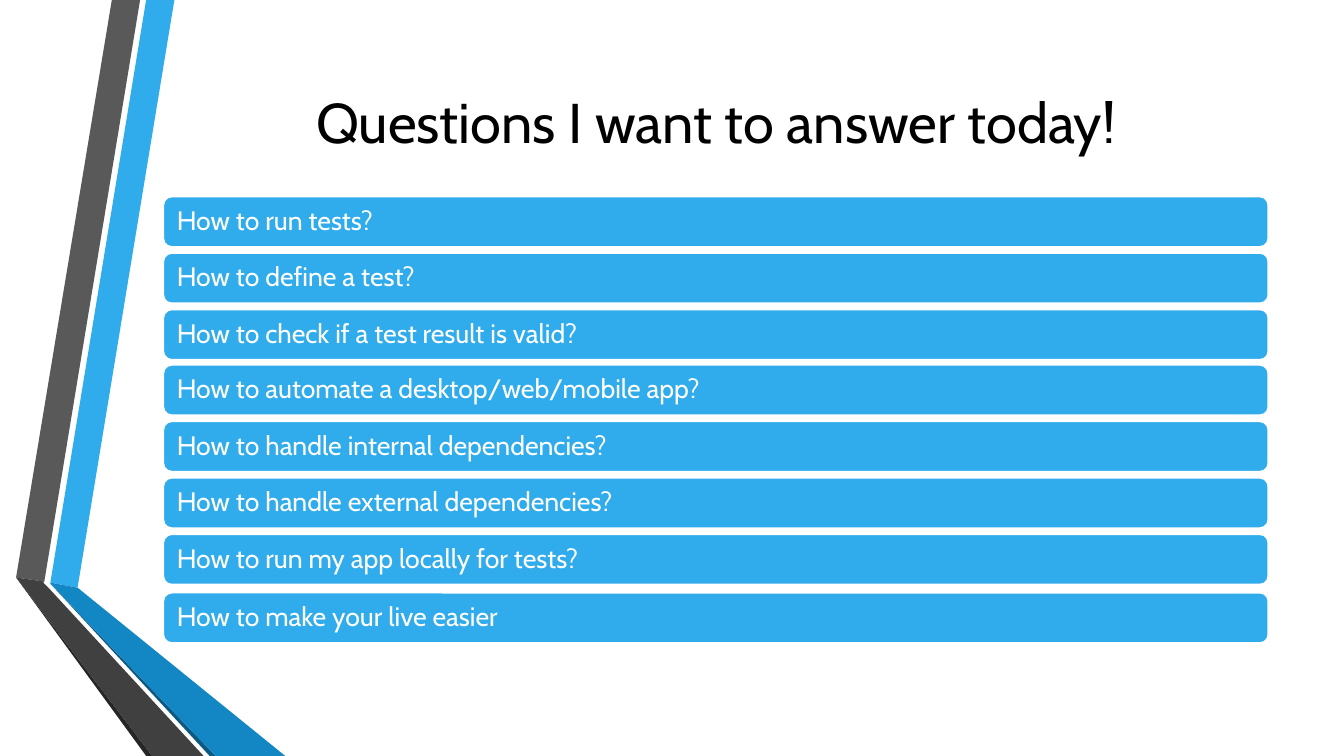
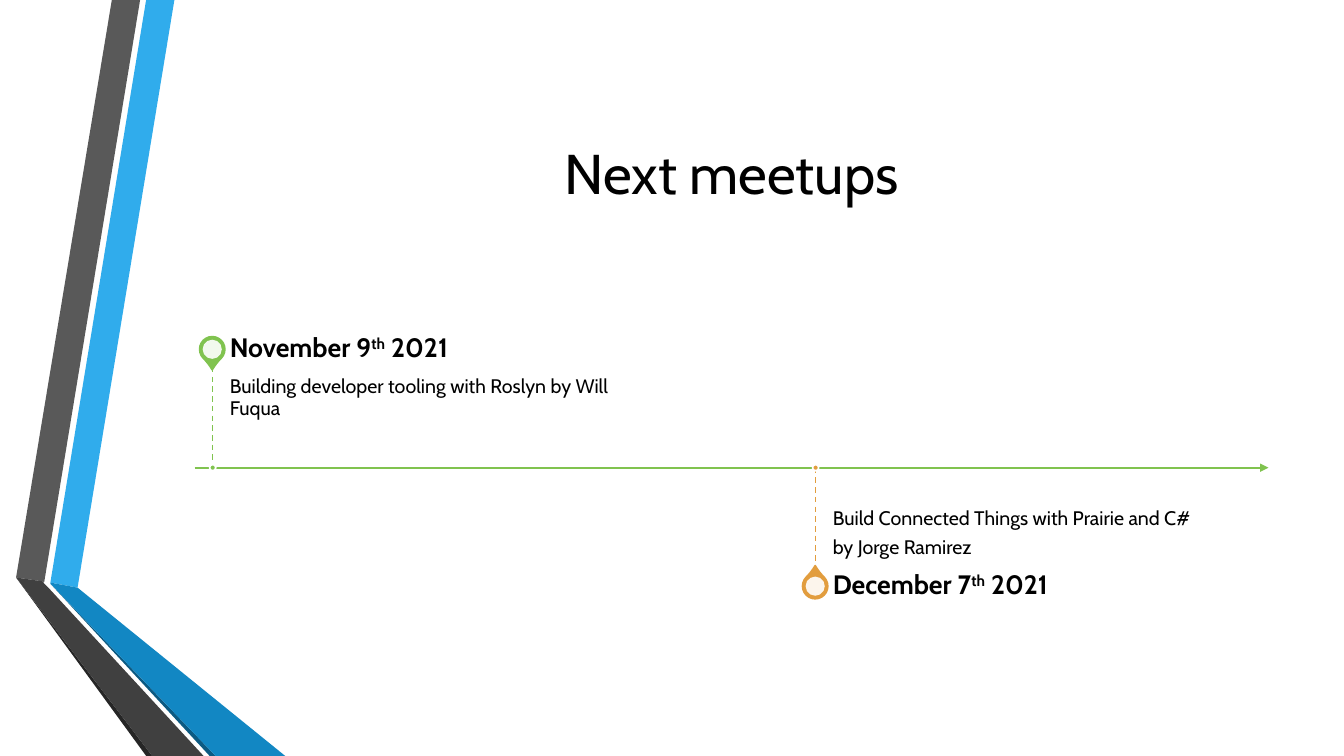
from lxml import etree
from pptx import Presentation
from pptx import util as u
from pptx.dml import color
from pptx.enum import dml, shapes, text
from pptx.oxml import ns

PX = 9144
FONT = "Cabin"
BLACK, WHITE = "000000", "FFFFFF"
BLUE, GREEN, ORANGE = "30ACEC", "80C34F", "E29D3E"
TITLE_ONLY = 5
AXIS_TOP = 464
STEM = 100
DATE_HEIGHT = 35

RIBBONS = [
    (BLUE, [(50, 578), (77, 583), (173, 0), (145, 0)]),
    ("595959", [(139, 0), (111, 0), (16, 573), (44, 577)]),
    ("262626", [(16, 573), (145, 750), (151, 750)]),
    ("0C5A82", [(50, 579), (208, 750), (214, 750)]),
    ("1287C3", [(50, 578), (50, 579), (214, 750), (283, 750), (77, 583)]),
    ("404040", [(202, 750), (48, 583), (43, 578), (44, 577), (16, 573), (151, 750)]),
]

QUESTIONS = [
    "How to run tests?",
    "How to define a test?",
    "How to check if a test result is valid?",
    "How to automate a desktop/web/mobile app?",
    "How to handle internal dependencies?",
    "How to handle external dependencies?",
    "How to run my app locally for tests?",
]
LAST_QUESTION = "How to make your live easier"


def px(*lengths):
    """Turn px lengths into a list of EMU lengths."""
    return [u.Emu(length * PX) for length in lengths]


def rgb(value):
    """Turn a hex string into a colour."""
    return color.RGBColor.from_string(value)


def add_child(parent, tag, **attributes):
    """Append a DrawingML element to a parent element."""
    return etree.SubElement(parent, ns.qn(tag), attributes)


def paint(shape, fill, line=None, width=1.25):
    """Set the fill and outline of a shape and drop its shadow."""
    shape.shadow.inherit = False
    shape.fill.solid()
    shape.fill.fore_color.rgb = rgb(fill)
    if line:
        shape.line.color.rgb = rgb(line)
        shape.line.width = u.Pt(width)
    else:
        shape.line.fill.background()


def add_preset(slide, kind, box, fill, line=None):
    """Add a painted preset shape."""
    shape = slide.shapes.add_shape(kind, *px(*box))
    paint(shape, fill, line)
    return shape


def add_line(slide, start, end, colour, width):
    """Add a straight connector without a shadow."""
    line = slide.shapes.add_connector(shapes.MSO_CONNECTOR.STRAIGHT, *px(*start, *end))
    line.line.color.rgb = rgb(colour)
    line.line.width = u.Pt(width)
    add_child(line.element.spPr, "a:effectLst")
    return line


def set_frame(shape, anchor, insets):
    """Set wrapping, anchor and left, top, right, bottom insets."""
    frame = shape.text_frame
    frame.word_wrap = True
    frame.auto_size = text.MSO_AUTO_SIZE.NONE
    frame.vertical_anchor = anchor
    (frame.margin_left, frame.margin_top,
     frame.margin_right, frame.margin_bottom) = px(*insets)
    return frame


def style(paragraph, size, colour=BLACK, bold=False, align=text.PP_ALIGN.LEFT, spacing=0.9):
    """Set the font, alignment and line spacing of a paragraph."""
    paragraph.alignment = align
    paragraph.line_spacing = spacing
    font = paragraph.font
    font.name, font.size, font.bold = FONT, u.Pt(size), bold
    font.color.rgb = rgb(colour)


def add_ribbons(slide):
    """Draw the folded ribbons and move them to the layout behind its placeholders."""
    layout_tree = slide.slide_layout.shapes.element
    for position, (fill, points) in enumerate(RIBBONS, start=2):
        builder = slide.shapes.build_freeform(*points[0], scale=PX)
        builder.add_line_segments(points[1:], close=True)
        ribbon = builder.convert_to_shape()
        paint(ribbon, fill)
        layout_tree.insert(position, ribbon.element)


def add_titled_slide(presentation, title, box):
    """Add a slide with a centred title."""
    slide = presentation.slides.add_slide(presentation.slide_layouts[TITLE_ONLY])
    shape = slide.shapes.title
    shape.left, shape.top, shape.width, shape.height = px(*box)
    frame = set_frame(shape, text.MSO_ANCHOR.MIDDLE, (10, 5, 10, 5))
    frame.text = title
    style(frame.paragraphs[0], 40, align=text.PP_ALIGN.CENTER, spacing=1.0)
    return slide


def add_question(slide, question, top):
    """Add a rounded bar holding one question."""
    bar = add_preset(slide, shapes.MSO_SHAPE.ROUNDED_RECTANGLE, (162, top, 1096, 50), BLUE, WHITE)
    frame = set_frame(bar, text.MSO_ANCHOR.MIDDLE, (11, 8, 11, 8))
    frame.text = question
    style(frame.paragraphs[0], 19, WHITE)


def add_pin(slide, x, top, colour, rotation):
    """Add a map pin with a pale centre."""
    pin = add_preset(slide, shapes.MSO_SHAPE.TEAR, (x - 13, top, 25, 25), colour, colour)
    pin.adjustments[0] = 1.15
    pin.rotation = rotation
    centre = add_preset(slide, shapes.MSO_SHAPE.OVAL, (x - 10, top + 3, 19, 19), WHITE)
    fill = centre.element.spPr.find(ns.qn("a:solidFill"))
    add_child(fill[0], "a:alpha", val="90000")


def add_date(slide, x, top, day):
    """Add a bold date with a raised ordinal ending."""
    box = slide.shapes.add_textbox(*px(x, top, 387, DATE_HEIGHT))
    paragraph = set_frame(box, text.MSO_ANCHOR.MIDDLE, (0, 0, 13, 0)).paragraphs[0]
    style(paragraph, 19, bold=True)
    for words, baseline in ((day, 0), ("th", 30000), (" 2021", 0)):
        run = paragraph.add_run()
        run.text = words
        if baseline:
            run.font._element.set("baseline", str(baseline))


def add_talk(slide, x, top, lines, anchor, insets):
    """Add the description of a talk."""
    box = slide.shapes.add_textbox(*px(x, top, 387, STEM))
    frame = set_frame(box, anchor, insets)
    frame.text = "\n".join(lines)
    for index, paragraph in enumerate(frame.paragraphs):
        style(paragraph, 14)
        if index:
            paragraph.space_before = u.Pt(5)


def add_meetup(slide, x, day, lines, colour, above):
    """Add a meetup with its pin, date, talk and stem on one side of the axis."""
    if above:
        stem_top, rotation = AXIS_TOP - STEM, 135
        date_top = stem_top - DATE_HEIGHT
        anchor, insets = text.MSO_ANCHOR.TOP, (0, 10, 0, 15)
    else:
        stem_top, rotation = AXIS_TOP, 315
        date_top = stem_top + STEM
        anchor, insets = text.MSO_ANCHOR.BOTTOM, (0, 15, 10, 10)
    add_pin(slide, x, date_top + 5, colour, rotation)
    add_talk(slide, x + 17, stem_top, lines, anchor, insets)
    add_date(slide, x + 17, date_top, day)
    stem = add_line(slide, (x, stem_top), (x, stem_top + STEM), colour, 1)
    stem.line.dash_style = dml.MSO_LINE.DASH
    add_preset(slide, shapes.MSO_SHAPE.OVAL, (x - 3, AXIS_TOP - 3, 6, 6), colour, WHITE)


def add_axis(slide):
    """Add the timeline arrow."""
    axis = add_line(slide, (193, AXIS_TOP), (1258, AXIS_TOP), GREEN, 1.5)
    add_child(axis.line._get_or_add_ln(), "a:tailEnd", type="triangle")


def main():
    """Build and save the presentation."""
    presentation = Presentation()
    presentation.slide_width, presentation.slide_height = px(1333, 750)

    slide = add_titled_slide(presentation, "Questions I want to answer today!", (162, 75, 1096, 91))
    add_ribbons(slide)
    for index, question in enumerate(QUESTIONS):
        add_question(slide, question, 195 + round(55.8 * index))
    add_question(slide, LAST_QUESTION, 588)

    slide = add_titled_slide(presentation, "Next meetups", (193, 75, 1065, 192))
    add_axis(slide)
    add_meetup(slide, 211, "November 9",
               ["Building developer tooling with Roslyn by Will Fuqua"], GREEN, above=True)
    add_meetup(slide, 809, "December 7",
               ["Build Connected Things with Prairie and C#", "by Jorge Ramirez"], ORANGE, above=False)

    presentation.save("out.pptx")


if __name__ == "__main__":
    main()
